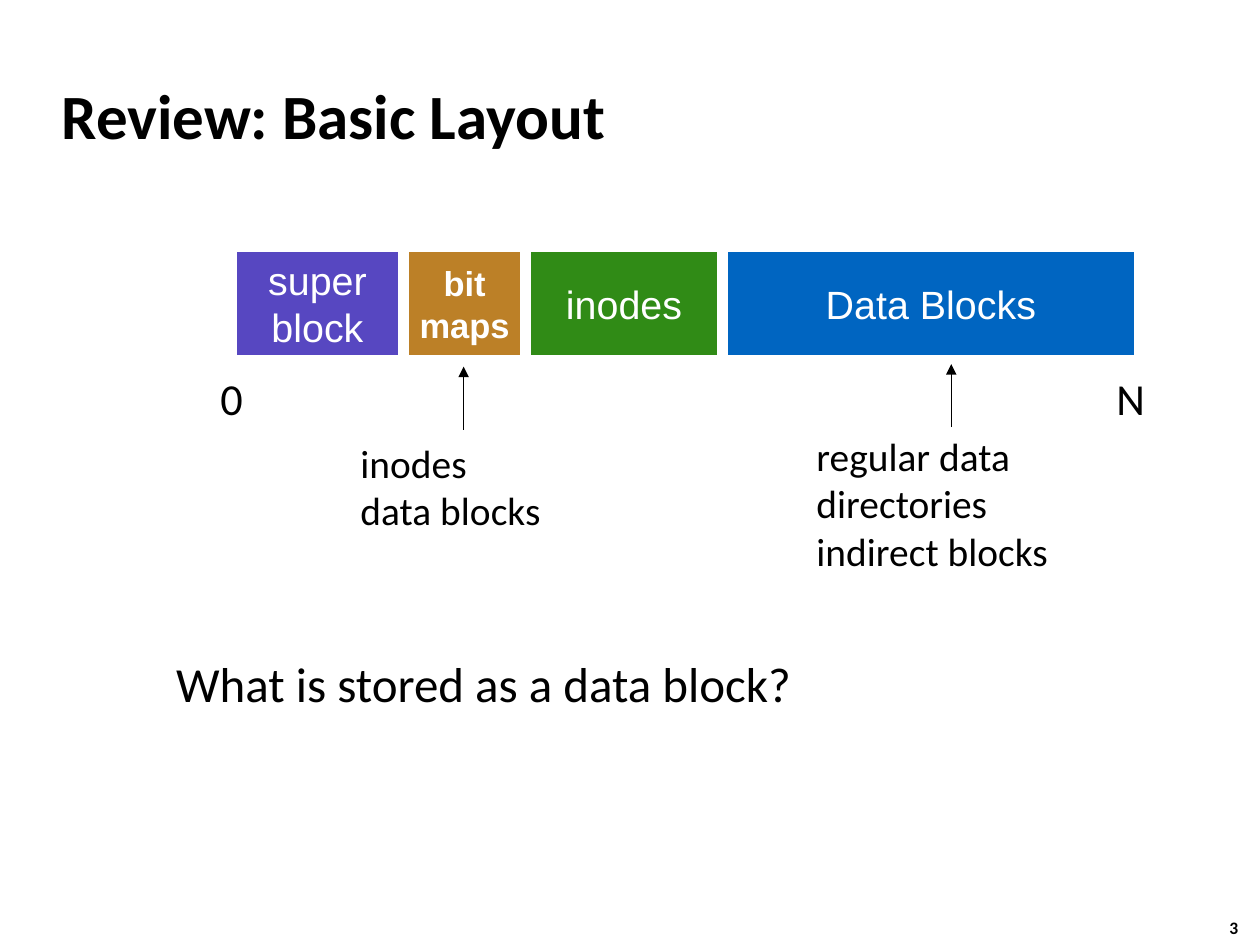
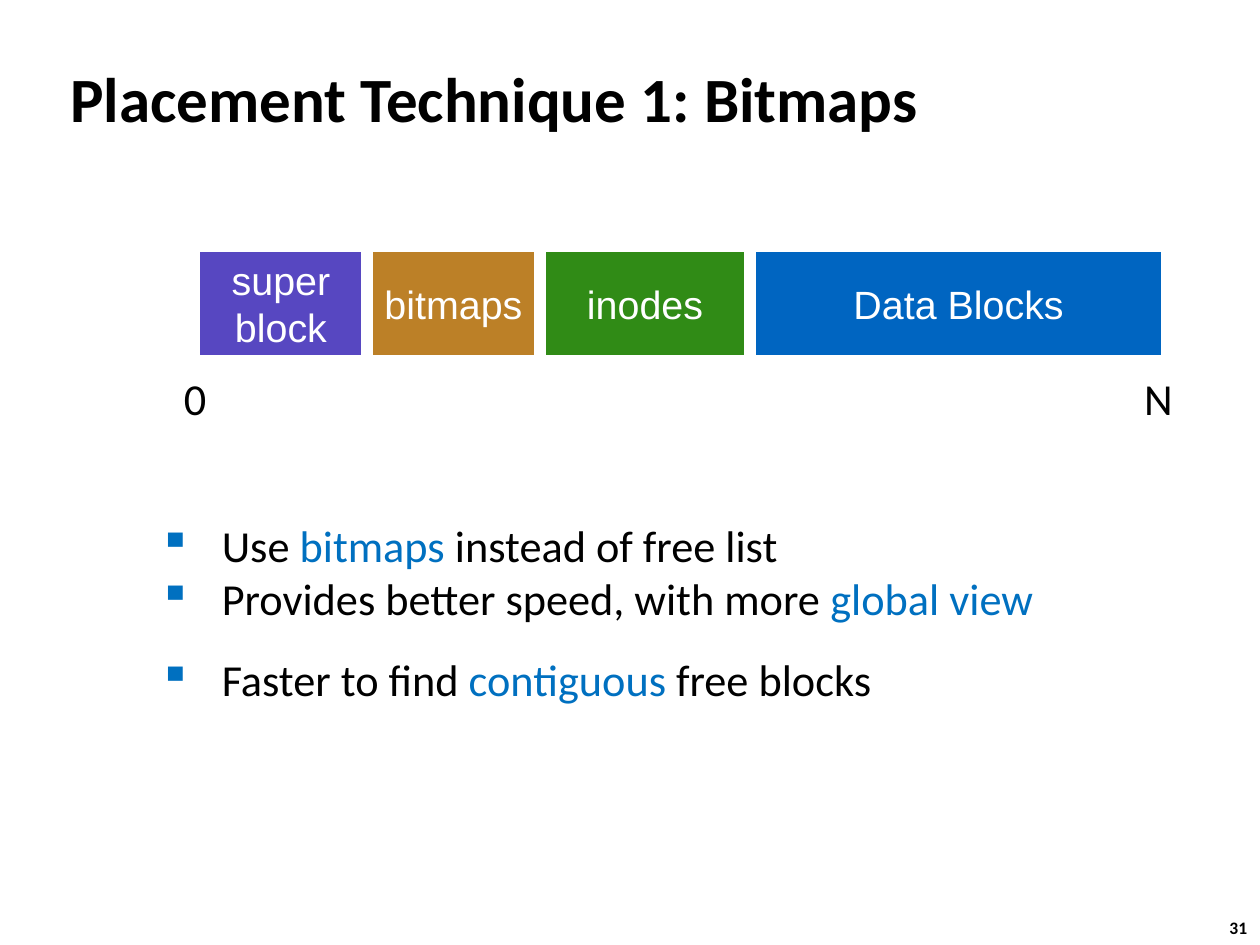
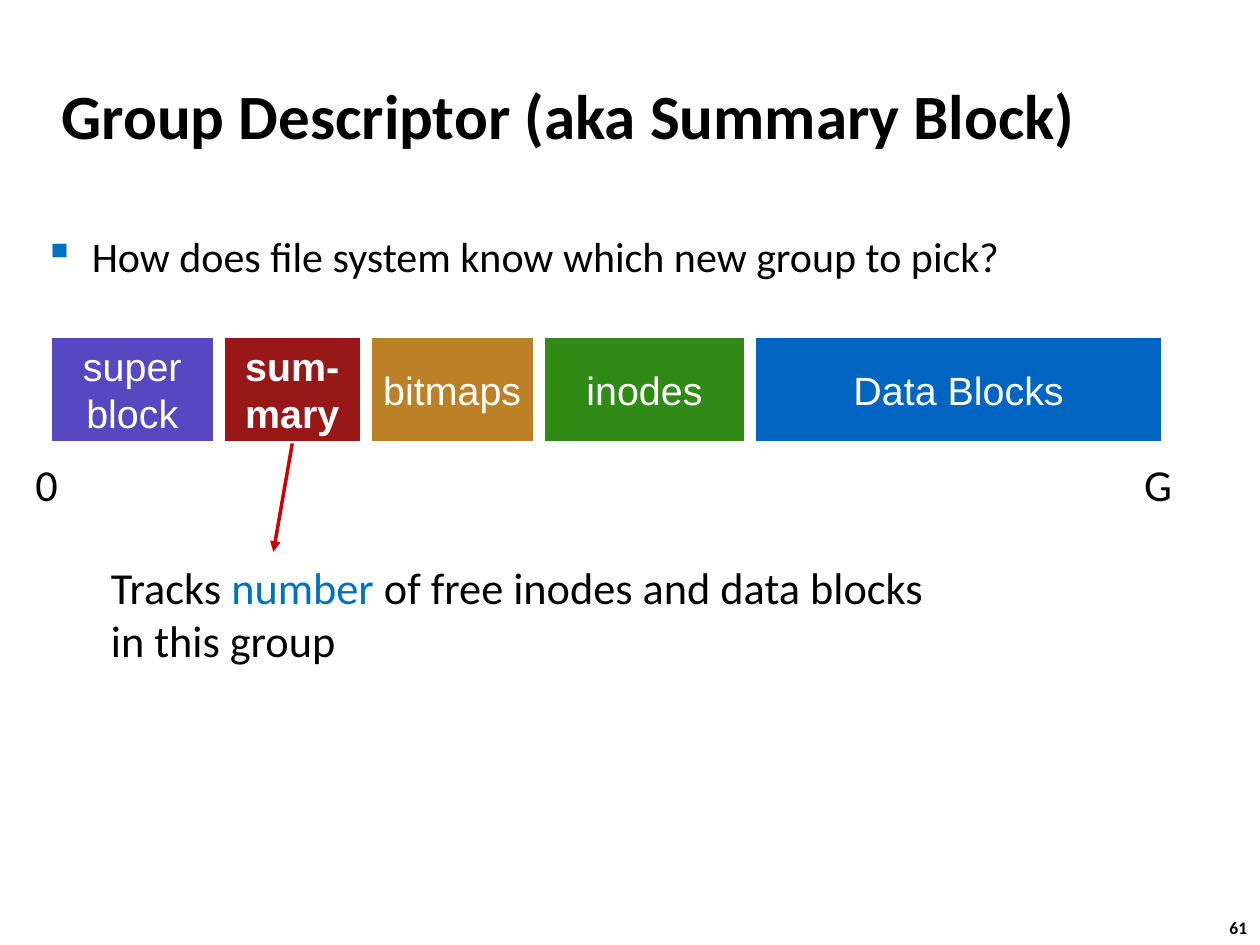
from lxml import etree
from pptx import Presentation
from pptx import util as u
from pptx.dml import color
from pptx.enum import shapes, text
from pptx.oxml import ns

COLORS = {
    "ink": "000000", "paper": "FFFFFF", "accent": "0070C0", "arrow": "CC0000",
    "super": "5747C1", "summary": "971817", "bitmaps": "BC8027",
    "inodes": "308B16", "data": "0065C1",
}
BODY_FONT, BLOCK_FONT = "Calibri", "Arial"
BLOCK_SIZE, LABEL_SIZE = 22.5, 25.3
BLOCK_HEIGHT = 0.86
TITLE_BOX = (0.39, 0.49, 8.3, 0.83)

SUPER = (["super block"], 1.32, "super", BLOCK_SIZE, False)
SMALL_BITMAPS = (["bit", "maps"], 0.92, "bitmaps", 19.7, True)
BITMAPS = (["bitmaps"], 1.32, "bitmaps", BLOCK_SIZE, False)
SUMMARY = (["sum-", "mary"], 1.11, "summary", BLOCK_SIZE, True)
SMALL_INODES = (["inodes"], 1.52, "inodes", BLOCK_SIZE, False)
INODES = (["inodes"], 1.62, "inodes", BLOCK_SIZE, False)
DATA = (["Data Blocks"], 3.26, "data", BLOCK_SIZE, False)


def rgb(name):
    return color.RGBColor.from_string(COLORS[name])


def style(font, size, ink="ink", bold=False, name=BODY_FONT):
    font.name, font.size, font.bold = name, u.Pt(size), bold
    font.color.rgb = rgb(ink)


def set_margins(frame, horizontal, vertical):
    frame.margin_left = frame.margin_right = u.Inches(horizontal)
    frame.margin_top = frame.margin_bottom = u.Inches(vertical)


def add_bullet(para, indent):
    props = para._p.get_or_add_pPr()
    props.set("marL", str(u.Inches(indent)))
    props.set("indent", str(-u.Inches(indent)))
    tint = etree.SubElement(props, ns.qn("a:buClr"))
    etree.SubElement(tint, ns.qn("a:srgbClr")).set("val", COLORS["accent"])
    etree.SubElement(props, ns.qn("a:buChar")).set("char", "▪")


def add_text(page, box, lines, size, bold=False, margins=(0.04, 0.04), middle=True,
             wrap=False, grow=True, bullet=None):
    frame = page.shapes.add_textbox(*map(u.Inches, box)).text_frame
    set_margins(frame, *margins)
    frame.word_wrap = wrap
    frame.auto_size = text.MSO_AUTO_SIZE.SHAPE_TO_FIT_TEXT if grow else text.MSO_AUTO_SIZE.NONE
    frame.vertical_anchor = text.MSO_ANCHOR.MIDDLE if middle else text.MSO_ANCHOR.TOP
    for index, line in enumerate(lines):
        para = frame.paragraphs[0] if index == 0 else frame.add_paragraph()
        if bullet:
            add_bullet(para, bullet)
        style(para.font, size, bold=bold)
        for position, part in enumerate(line.split("*")):
            span = para.add_run()
            span.text = part
            style(span.font, size, "accent" if position % 2 else "ink", bold)
    return frame


def add_page(deck, title, number, title_box=TITLE_BOX):
    page = deck.slides.add_slide(deck.slide_layouts[6])
    add_text(page, title_box, [title], 36, True, (0.1, 0.05), wrap=True, grow=False)
    add_text(page, (9.66, 7.23, 0.37, 0.27), [number], 10, True, (0.1, 0.05), middle=False)
    return page


def add_block(page, box, lines, fill, size, bold):
    block = page.shapes.add_shape(shapes.MSO_SHAPE.RECTANGLE, *map(u.Inches, box))
    block.shadow.inherit = False
    block.fill.solid()
    block.fill.fore_color.rgb = rgb(fill)
    block.line.color.rgb = rgb("paper")
    block.line.width = u.Pt(3)
    frame = block.text_frame
    set_margins(frame, 0, 0)
    frame.word_wrap = True
    frame.vertical_anchor = text.MSO_ANCHOR.MIDDLE
    frame.text = "\n".join(lines)
    for para in frame.paragraphs:
        para.alignment = text.PP_ALIGN.CENTER
        style(para.font, size, "paper", bold, BLOCK_FONT)
    return block


def add_disk(page, left, top, width, parts, last_label):
    gap = (width - sum(part[1] for part in parts)) / (len(parts) - 1)
    blocks, x = [], left
    for lines, block_width, fill, size, bold in parts:
        box = (x, top, block_width, BLOCK_HEIGHT)
        blocks.append(add_block(page, box, lines, fill, size, bold))
        x += block_width + gap
    label_top = top + 0.93
    add_text(page, (left - 0.15, label_top, 0.26, 0.5), ["0"], LABEL_SIZE)
    add_text(page, (left + width - 0.2, label_top, 0.31, 0.5), [last_label], LABEL_SIZE)
    return blocks


def add_arrow(page, start, end, ink="ink", width=0.75):
    arrow = page.shapes.add_connector(shapes.MSO_CONNECTOR.STRAIGHT,
                                      *map(u.Inches, (*start, *end)))
    arrow.line.color.rgb = rgb(ink)
    arrow.line.width = u.Pt(width)
    etree.SubElement(arrow.line._get_or_add_ln(), ns.qn("a:tailEnd")).set("type", "triangle")
    etree.SubElement(arrow._element.spPr, ns.qn("a:effectLst"))
    return arrow


def build_layout(deck):
    page = add_page(deck, "Review: Basic Layout", "3")
    add_disk(page, 1.86, 1.98, 7.16, [SUPER, SMALL_BITMAPS, SMALL_INODES, DATA], "N")
    for x, bottom in ((3.68, 3.41), (7.55, 3.39)):
        add_arrow(page, (x, bottom), (x, bottom - 0.5))
    add_text(page, (2.82, 3.44, 1.52, 0.84), ["inodes", "data blocks"], BLOCK_SIZE)
    add_text(page, (6.48, 3.43, 1.85, 1.14), ["regular data", "directories", "indirect blocks"],
             BLOCK_SIZE, margins=(0, 0), middle=False)
    add_text(page, (1.3, 5.14, 5.14, 0.57), ["What is stored as a data block?"], 28,
             margins=(0.1, 0.05), middle=False)


def build_bitmaps(deck):
    page = add_page(deck, "Placement Technique 1: Bitmaps", "31", (0.46, 0.07, 8.93, 1.4))
    add_disk(page, 1.57, 1.98, 7.67, [SUPER, BITMAPS, INODES, DATA], "N")
    benefits = add_text(page, (1.22, 4.07, 7.09, 1.57), [
        "Use *bitmaps* instead of free list",
        "Provides better speed, with more *global view*",
        "Faster to find *contiguous* free blocks",
    ], LABEL_SIZE, bullet=0.5)
    benefits.paragraphs[-1].space_before = u.Pt(15.5)


def build_summary(deck):
    page = add_page(deck, "Group Descriptor (aka Summary Block)", "61")
    blocks = add_disk(page, 0.39, 2.66, 8.85, [SUPER, SUMMARY, BITMAPS, INODES, DATA], "G")
    arrow = add_arrow(page, (2.33, 3.52), (2.17, 4.38), "arrow", 2)
    arrow.begin_connect(blocks[1], 2)
    add_text(page, (0.84, 4.4, 6.67, 0.93),
             ["Tracks *number* of free inodes and data blocks in this group"],
             LABEL_SIZE, wrap=True)
    add_text(page, (0.25, 1.78, 7.85, 0.5),
             ["How does file system know which new group to pick?"], 24,
             margins=(0.1, 0.05), middle=False, bullet=0.38)


def main():
    deck = Presentation()
    deck.slide_width, deck.slide_height = u.Inches(10), u.Inches(7.5)
    build_layout(deck)
    build_bitmaps(deck)
    build_summary(deck)
    deck.save("out.pptx")


if __name__ == "__main__":
    main()
